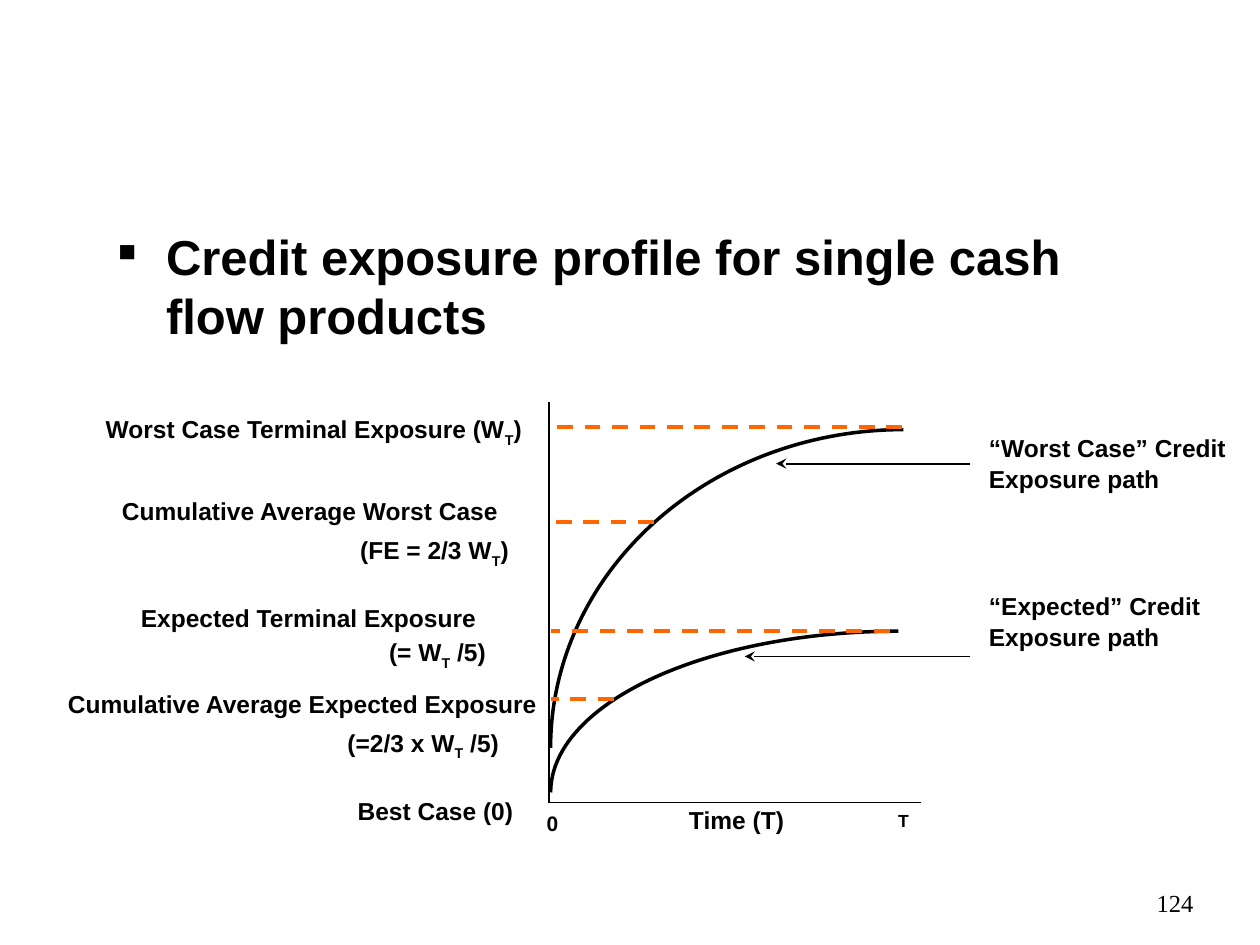
from dataclasses import dataclass

from lxml import etree
from pptx import Presentation
from pptx.dml.color import RGBColor
from pptx.enum.dml import MSO_LINE
from pptx.enum.shapes import MSO_CONNECTOR, MSO_SHAPE
from pptx.enum.text import MSO_AUTO_SIZE, PP_ALIGN
from pptx.oxml.ns import qn
from pptx.util import Emu, Inches, Pt

BLACK = RGBColor(0x00, 0x00, 0x00)
ORANGE = RGBColor(0xFF, 0x66, 0x00)
STRAIGHT = MSO_CONNECTOR.STRAIGHT
ARC = MSO_SHAPE.ARC
DASH = MSO_LINE.DASH
FIT_SHAPE = MSO_AUTO_SIZE.SHAPE_TO_FIT_TEXT
RIGHT = PP_ALIGN.RIGHT

SLIDE_WIDTH = Inches(10)
SLIDE_HEIGHT = Inches(7.5)
COLUMN = SLIDE_WIDTH / 100
ROW = SLIDE_HEIGHT / 75

AXIS_COLUMN = 43.6
TIME_ROW = 63.7
ORIGIN_COLUMN = 43.7
ARROW_TAIL_COLUMN = 77
PATH_LABEL_COLUMN = 77.5
QUARTER_ARC = (108, 162)


@dataclass(frozen=True)
class Label:
    text: str
    column: float
    row: float
    columns: float
    size: int = 14
    subscript: str = ""
    ending: str = ""


@dataclass(frozen=True)
class ExposurePath:
    top_row: float
    columns: float
    rows: float


@dataclass(frozen=True)
class Stroke:
    start: tuple[float, float]
    end: tuple[float, float]
    color: RGBColor = BLACK
    weight: float = 1
    dashed: bool = False
    arrow: bool = False


def across(columns: float) -> Emu:
    return Emu(round(columns * COLUMN))


def down(rows: float) -> Emu:
    return Emu(round(rows * ROW))


def add_run(paragraph, text: str, size: int, font: str = "Arial", bold: bool = True):
    run = paragraph.add_run()
    run.text = text
    run.font.size = Pt(size)
    run.font.name = font
    run.font.bold = bold
    run.font.color.rgb = BLACK
    return run


def add_frame(slide, column: float, row: float, columns: float, rows: float, wrap: bool):
    box = slide.shapes.add_textbox(across(column), down(row), across(columns), down(rows))
    box.text_frame.word_wrap = wrap
    return box.text_frame


def add_heading(slide, text: str) -> None:
    paragraph = add_frame(slide, 8.4, 17.5, 85, 10.8, True).paragraphs[0]
    properties = paragraph._p.get_or_add_pPr()
    indent = Inches(0.38)
    properties.set("marL", str(indent))
    properties.set("indent", str(-indent))
    bullet_color = etree.SubElement(properties, qn("a:buClr"))
    etree.SubElement(bullet_color, qn("a:srgbClr"), val=str(BLACK))
    etree.SubElement(properties, qn("a:buSzPct"), val="50000")
    etree.SubElement(properties, qn("a:buChar"), char="■")
    add_run(paragraph, text, 28)


def add_label(slide, label: Label) -> None:
    rows = 1 + label.size / 6 + (0.4 if label.subscript else 0)
    frame = add_frame(slide, label.column, label.row, label.columns, rows, False)
    frame.auto_size = FIT_SHAPE
    paragraph = frame.paragraphs[0]
    add_run(paragraph, label.text, label.size)
    if label.subscript:
        subscript = add_run(paragraph, label.subscript, label.size)
        subscript.font._element.set("baseline", "-25000")
        add_run(paragraph, label.ending, label.size)


def add_exposure_path(slide, path: ExposurePath) -> None:
    arc = slide.shapes.add_shape(
        ARC, across(ORIGIN_COLUMN), down(path.top_row), across(path.columns), down(path.rows)
    )
    arc.adjustments[0], arc.adjustments[1] = QUARTER_ARC
    arc.shadow.inherit = False
    arc.fill.background()
    arc.line.color.rgb = BLACK
    arc.line.width = Pt(2)


def add_stroke(slide, stroke: Stroke) -> None:
    (left, top), (right, bottom) = stroke.start, stroke.end
    connector = slide.shapes.add_connector(
        STRAIGHT, across(left), down(top), across(right), down(bottom)
    )
    connector.line.color.rgb = stroke.color
    connector.line.width = Pt(stroke.weight)
    if stroke.dashed:
        connector.line.dash_style = DASH
    properties = connector.element.spPr
    if stroke.arrow:
        etree.SubElement(properties.find(qn("a:ln")), qn("a:headEnd"), type="stealth")
    etree.SubElement(properties, qn("a:effectLst"))


def level(end_column: float, row: float, start_column: float = ORIGIN_COLUMN) -> Stroke:
    return Stroke((end_column, row), (start_column, row), ORANGE, 2.25, dashed=True)


def pointer(tip_column: float, row: float) -> Stroke:
    return Stroke((tip_column, row), (ARROW_TAIL_COLUMN, row), arrow=True)


LABELS = (
    Label("Worst Case Terminal Exposure (W", 7.4, 32.4, 35.2, subscript="T", ending=")"),
    Label("Cumulative Average Worst Case", 8.7, 38.9, 32),
    Label("(FE = 2/3 W", 27.6, 42, 13.8, subscript="T", ending=")"),
    Label("Expected Terminal Exposure", 10.2, 47.4, 29.3),
    Label("(= W", 29.9, 50.1, 9.7, subscript="T", ending=" /5)"),
    Label("Cumulative Average Expected Exposure", 4.4, 54.2, 39.4),
    Label("(=2/3 x W", 26.6, 57.3, 14, subscript="T", ending=" /5)"),
    Label("Best Case (0)", 27.4, 62.7, 14.4),
    Label("“Worst Case” Credit", PATH_LABEL_COLUMN, 33.9, 20.9),
    Label("Exposure path", PATH_LABEL_COLUMN, 36.3, 15.6),
    Label("“Expected” Credit", PATH_LABEL_COLUMN, 46.4, 18.8),
    Label("Exposure path", PATH_LABEL_COLUMN, 48.9, 15.6),
    Label("Time (T)", 53.7, 63.4, 9.6),
    Label("0", 42.4, 63.8, 2.9, size=12),
    Label("T", 70.3, 63.8, 2.9, size=10),
)

EXPOSURE_PATHS = (
    ExposurePath(34.1, 56, 50.5),
    ExposurePath(50.1, 55.2, 25.6),
)

STROKES = (
    level(71.6, 33.9),
    level(51.9, 41.4, AXIS_COLUMN),
    level(70.6, 50.1),
    level(48.7, 55.5),
    pointer(61.6, 36.8),
    pointer(59.1, 52.1),
    Stroke((AXIS_COLUMN, 31.9), (AXIS_COLUMN, TIME_ROW)),
    Stroke((AXIS_COLUMN, TIME_ROW), (73.1, TIME_ROW)),
)


def main() -> None:
    presentation = Presentation()
    presentation.slide_width = SLIDE_WIDTH
    presentation.slide_height = SLIDE_HEIGHT
    slide = presentation.slides.add_slide(presentation.slide_layouts[6])

    add_heading(slide, "Credit exposure profile for single cash flow products")
    for path in EXPOSURE_PATHS:
        add_exposure_path(slide, path)
    for stroke in STROKES:
        add_stroke(slide, stroke)
    for label in LABELS:
        add_label(slide, label)

    page_number = add_frame(slide, 74.9, 70, 20.8, 5, True).paragraphs[0]
    page_number.alignment = RIGHT
    add_run(page_number, "124", 14, "Times New Roman", False)

    presentation.save("out.pptx")


if __name__ == "__main__":
    main()
